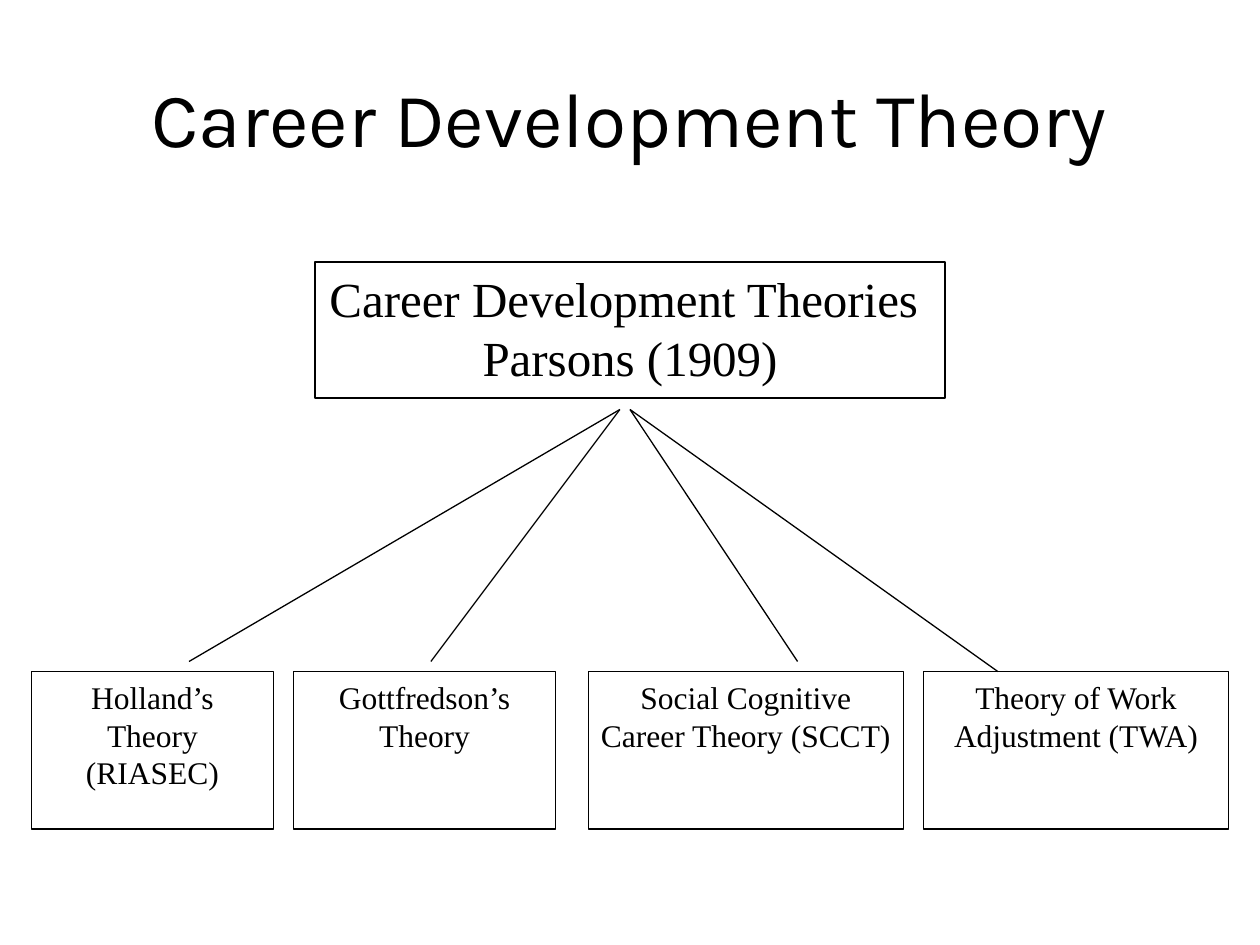
from dataclasses import dataclass

import pptx
import pptx.dml.color
import pptx.enum.shapes
import pptx.enum.text
import pptx.oxml.xmlchemy
import pptx.util
from pptx.util import Inches

ALIGN = pptx.enum.text.PP_ALIGN
ANCHOR = pptx.enum.text.MSO_ANCHOR


@dataclass(frozen=True)
class Theme:
    ink: pptx.dml.color.RGBColor = pptx.dml.color.RGBColor(0, 0, 0)
    paper: pptx.dml.color.RGBColor = pptx.dml.color.RGBColor(255, 255, 255)
    head: str = "Karla"
    body: str = "Times New Roman"
    title: float = 44
    root: float = 28
    leaf: float = 18
    rule: float = 0.75


@dataclass(frozen=True)
class Box:
    left: float
    top: float
    width: float
    height: float
    lines: tuple[str, ...]
    size: float


@dataclass(frozen=True)
class Link:
    start: tuple[float, float]
    end: tuple[float, float]


THEME = Theme()
ROW, TALL = 5.33, 1.25
TITLE = Box(0.5, 0.3, 9, 1.25, ("Career Development Theory",), THEME.title)
ROOT = Box(2.5, 2.08, 5, 1.08,
           ("Career Development Theories ", "Parsons (1909)"), THEME.root)
LEAVES = [
    Box(left, ROW, width, TALL, lines, THEME.leaf)
    for left, width, lines in (
        (0.25, 1.92, ("Holland’s Theory", "(RIASEC)")),
        (2.33, 2.08, ("Gottfredson’s Theory",)),
        (4.67, 2.5, ("Social Cognitive Career Theory (SCCT)",)),
        (7.33, 2.42, ("Theory of Work Adjustment (TWA)",)),
    )
]
FORK = 3.25
LINKS = [
    Link((x, FORK), end)
    for x, end in (
        (4.92, (1.5, 5.25)),
        (4.92, (3.42, 5.25)),
        (5, (6.33, 5.25)),
        (5, (7.92, ROW)),
    )
]


def style(item: object, values: dict) -> None:
    """Set each named attribute on the item."""
    for name, value in values.items():
        setattr(item, name, value)


def write(shape, box: Box, face: str, anchor) -> None:
    """Fill the shape with one centred paragraph per line."""
    frame = shape.text_frame
    # The narrow side margin keeps the longest leaf on two lines.
    style(frame, {
        "word_wrap": True, "vertical_anchor": anchor,
        "margin_left": Inches(0.09), "margin_right": Inches(0.09),
        "margin_top": Inches(0.05), "margin_bottom": Inches(0.05),
    })
    frame.text = "\n".join(box.lines)
    for para in frame.paragraphs:
        para.alignment = ALIGN.CENTER
        for run in para.runs:
            style(run.font, {"name": face, "size": pptx.util.Pt(box.size)})
            run.font.color.rgb = THEME.ink


def place(box: Box) -> tuple:
    return tuple(map(Inches, (box.left, box.top, box.width, box.height)))


def stroke(line) -> None:
    line.color.rgb = THEME.ink
    line.width = pptx.util.Pt(THEME.rule)


def draw_box(slide, box: Box) -> None:
    kind = pptx.enum.shapes.MSO_SHAPE.RECTANGLE
    shape = slide.shapes.add_shape(kind, *place(box))
    shape.shadow.inherit = False
    shape.fill.solid()
    shape.fill.fore_color.rgb = THEME.paper
    stroke(shape.line)
    write(shape, box, THEME.body, ANCHOR.TOP)


def draw_link(slide, link: Link) -> None:
    kind = pptx.enum.shapes.MSO_CONNECTOR.STRAIGHT
    line = slide.shapes.add_connector(
        kind, *map(Inches, link.start + link.end))
    stroke(line.line)
    tag = pptx.oxml.xmlchemy.OxmlElement("a:effectLst")
    line._element.spPr.append(tag)


def main() -> None:
    deck = pptx.Presentation()
    style(deck, {"slide_width": Inches(10), "slide_height": Inches(7.5)})
    slide = deck.slides.add_slide(deck.slide_layouts[6])
    title = slide.shapes.add_textbox(*place(TITLE))
    write(title, TITLE, THEME.head, ANCHOR.MIDDLE)
    for box in (ROOT, *LEAVES):
        draw_box(slide, box)
    for link in LINKS:
        draw_link(slide, link)
    deck.save("out.pptx")


if __name__ == "__main__":
    main()
